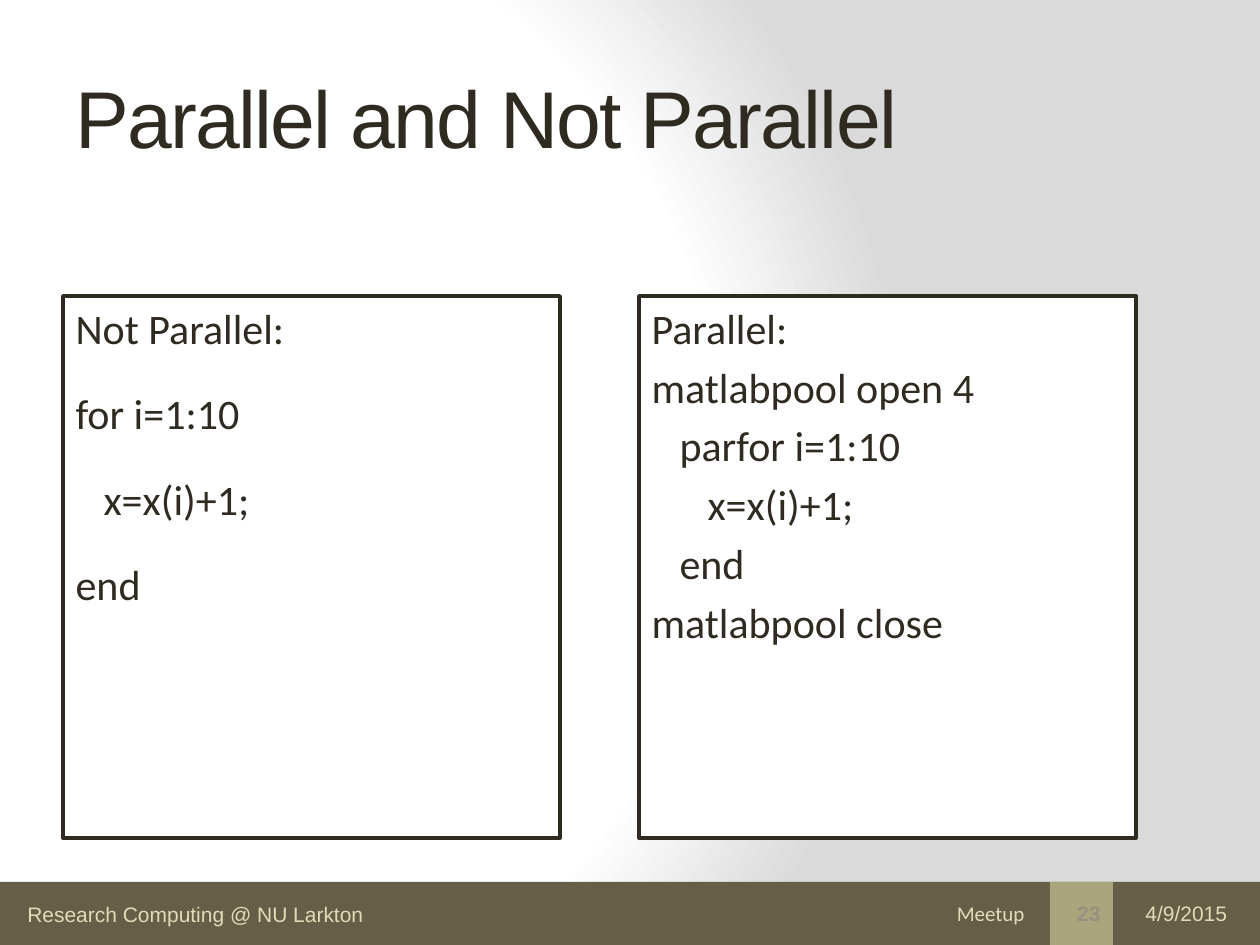
"""Build a slide that sets serial and parallel loop code side by side."""
from dataclasses import dataclass

import lxml.etree
import pptx
import pptx.dml.color
import pptx.enum.shapes
import pptx.enum.text
import pptx.oxml
import pptx.oxml.ns
import pptx.util

SCALE = 914400 / 126
ALIGN = pptx.enum.text.PP_ALIGN
ANCHOR = pptx.enum.text.MSO_ANCHOR


@dataclass(frozen=True)
class Theme:
    ink: str = "2F2B20"
    paper: str = "FFFFFF"
    shade: str = "DADADA"
    band: str = "675E47"
    accent: str = "A9A57C"
    pale: str = "DFDCB7"
    muted: str = "97917F"
    heading_font: str = "Arial"
    body_font: str = "Calibri"
    title_size: int = 46
    code_size: int = 24
    footer_size: int = 12


@dataclass(frozen=True)
class Box:
    left: int
    top: int
    width: int
    height: int


@dataclass(frozen=True)
class CodeLine:
    text: str
    depth: int = 0


@dataclass(frozen=True)
class Panel:
    placeholder: int
    left: int
    gap: float
    lines: tuple[CodeLine, ...]


@dataclass(frozen=True)
class FooterText:
    text: str
    box: Box
    font: str
    align: ALIGN = ALIGN.LEFT
    wrap: bool = True


THEME = Theme()
INDENT = 28
PANELS = (
    Panel(1, 63, 20, (
        CodeLine("Not Parallel:"),
        CodeLine("for i=1:10"),
        CodeLine("x=x(i)+1;", 1),
        CodeLine("end"),
    )),
    Panel(2, 639, 4.8, (
        CodeLine("Parallel:"),
        CodeLine("matlabpool open 4"),
        CodeLine("parfor i=1:10", 1),
        CodeLine("x=x(i)+1;", 2),
        CodeLine("end", 1),
        CodeLine("matlabpool close"),
    )),
)
FOOTERS = (
    FooterText("Research Computing @ NU Larkton", Box(15, 895, 367, 38), THEME.heading_font, wrap=False),
    FooterText("4/9/2015", Box(1133, 888, 118, 50), THEME.heading_font),
    FooterText("Meetup", Box(345, 888, 692, 50), THEME.body_font, ALIGN.RIGHT),
)


def px(length: int) -> pptx.util.Emu:
    """Turn pixels into EMU."""
    return pptx.util.Emu(round(length * SCALE))


def rgb(colour: str) -> pptx.dml.color.RGBColor:
    """Turn a hex string into a colour."""
    return pptx.dml.color.RGBColor.from_string(colour)


def place(shape, box: Box) -> None:
    """Move a shape to its box."""
    shape.left, shape.top = px(box.left), px(box.top)
    shape.width, shape.height = px(box.width), px(box.height)


def add_run(paragraph, text: str, font: str, size: int, colour: str):
    """Add one formatted run."""
    run = paragraph.add_run()
    run.text = text
    run.font.name = font
    run.font.size = pptx.util.Pt(size)
    run.font.color.rgb = rgb(colour)
    return run


def paint_background(slide) -> None:
    """Give the slide its circular gradient."""
    slide.background.fill.solid()
    properties = slide.element.xpath(".//p:bgPr")[0]
    stops = ((0, THEME.paper), (75, THEME.paper), (100, THEME.shade))
    stop_xml = "".join(
        f'<a:gs pos="{position * 1000}"><a:srgbClr val="{colour}"/></a:gs>' for position, colour in stops
    )
    gradient = pptx.oxml.parse_xml(
        f'<a:gradFill {pptx.oxml.ns.nsdecls("a")} rotWithShape="1"><a:gsLst>{stop_xml}</a:gsLst>'
        '<a:path path="circle"><a:fillToRect l="20000" t="50000" r="100000" b="50000"/></a:path></a:gradFill>'
    )
    properties.replace(properties[0], gradient)


def add_block(slide, box: Box, colour: str):
    """Draw a plain filled rectangle."""
    block = slide.shapes.add_shape(
        pptx.enum.shapes.MSO_SHAPE.RECTANGLE, px(box.left), px(box.top), px(box.width), px(box.height)
    )
    block.shadow.inherit = False
    block.fill.solid()
    block.fill.fore_color.rgb = rgb(colour)
    block.line.fill.background()
    return block


def add_footer(slide, footer: FooterText) -> None:
    """Write one text of the footer band."""
    box = footer.box
    frame = slide.shapes.add_textbox(px(box.left), px(box.top), px(box.width), px(box.height)).text_frame
    frame.word_wrap = footer.wrap
    frame.vertical_anchor = ANCHOR.MIDDLE
    paragraph = frame.paragraphs[0]
    paragraph.alignment = footer.align
    add_run(paragraph, footer.text, footer.font, THEME.footer_size, THEME.pale)


def fill_title(slide) -> None:
    """Write the title with tightened letters."""
    title = slide.shapes.title
    place(title, Box(63, 38, 1129, 157))
    title.text_frame.vertical_anchor = ANCHOR.MIDDLE
    paragraph = title.text_frame.paragraphs[0]
    paragraph.alignment = ALIGN.LEFT
    run = add_run(paragraph, "Parallel and Not Parallel", THEME.heading_font, THEME.title_size, THEME.ink)
    run.font._element.set("spc", "-100")


def fill_panel(slide, panel: Panel) -> None:
    """Write one framed code listing."""
    listing = slide.placeholders[panel.placeholder]
    place(listing, Box(panel.left, 296, 497, 542))
    listing.fill.solid()
    listing.fill.fore_color.rgb = rgb(THEME.paper)
    listing.line.color.rgb = rgb(THEME.ink)
    listing.line.width = pptx.util.Pt(2)
    frame = listing.text_frame
    frame.auto_size = pptx.enum.text.MSO_AUTO_SIZE.NONE
    frame.vertical_anchor = ANCHOR.TOP
    for number, line in enumerate(panel.lines):
        paragraph = frame.add_paragraph() if number else frame.paragraphs[0]
        paragraph.space_before = pptx.util.Pt(panel.gap if number else 0)
        properties = paragraph._p.get_or_add_pPr()
        properties.set("marL", str(px(line.depth * INDENT)))
        properties.set("indent", "0")
        lxml.etree.SubElement(properties, pptx.oxml.ns.qn("a:buNone"))
        add_run(paragraph, line.text, THEME.body_font, THEME.code_size, THEME.ink)


def main() -> None:
    """Build and save the slide."""
    deck = pptx.Presentation()
    deck.slide_width, deck.slide_height = px(1260), px(945)
    slide = deck.slides.add_slide(deck.slide_layouts[3])
    paint_background(slide)
    add_block(slide, Box(0, 882, 1260, 63), THEME.band)
    page_block = add_block(slide, Box(1050, 882, 63, 63), THEME.accent)
    page_line = page_block.text_frame.paragraphs[0]
    page_line.alignment = ALIGN.RIGHT
    page_number = add_run(page_line, "23", THEME.heading_font, THEME.footer_size, THEME.muted)
    page_number.font.bold = True
    for footer in FOOTERS:
        add_footer(slide, footer)
    fill_title(slide)
    for panel in PANELS:
        fill_panel(slide, panel)
    deck.save("out.pptx")


if __name__ == "__main__":
    main()
